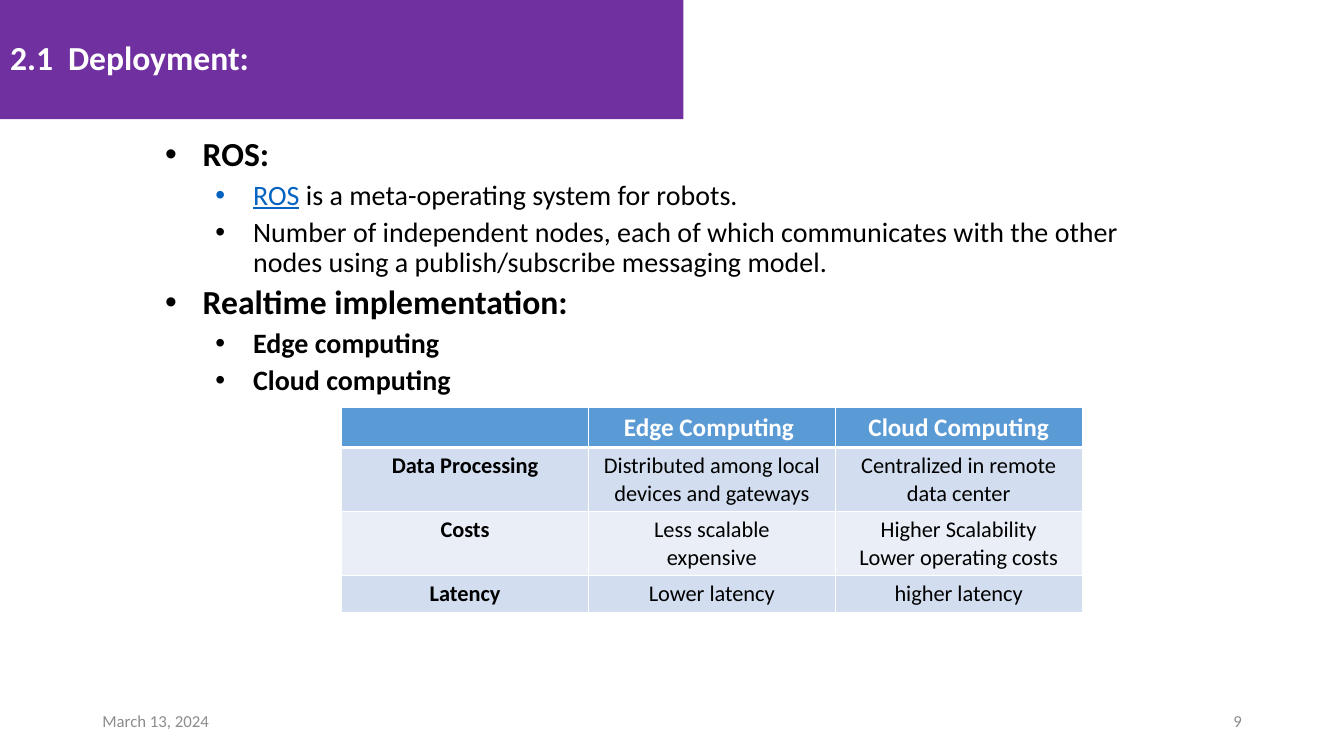
from dataclasses import dataclass

from lxml.etree import SubElement
from pptx import Presentation
from pptx.dml.color import RGBColor
from pptx.enum.text import MSO_ANCHOR, MSO_AUTO_SIZE, PP_ALIGN
from pptx.oxml.ns import qn
from pptx.slide import Slide
from pptx.table import _Cell
from pptx.text.text import TextFrame, _Paragraph
from pptx.util import Cm, Pt

FONT = "Calibri"
WHITE, BLACK, GREY = "FFFFFF", "000000", "8C8C8C"
PURPLE, LINK_BLUE, HEADER_BLUE = "7030A0", "0563C1", "5B9BD5"
BANDS = ("D2DEEF", "EAEFF7")


@dataclass(frozen=True)
class Span:
    text: str
    size: float
    color: str = BLACK
    bold: bool = False
    underline: bool = False


@dataclass(frozen=True)
class Bullet:
    level: int
    spans: tuple[Span, ...]


@dataclass(frozen=True)
class Footer:
    left: float
    text: str
    align: PP_ALIGN


BULLETS = (
    Bullet(0, (Span("ROS:", 24, bold=True),)),
    Bullet(1, (Span("ROS", 20, LINK_BLUE, underline=True),
               Span(" is a meta-operating system for robots.", 20))),
    Bullet(1, (Span("Number of independent nodes, each of which communicates with the other "
                    "nodes using a publish/subscribe messaging model.", 20),)),
    Bullet(0, (Span("Realtime implementation:", 24, bold=True),)),
    Bullet(1, (Span("Edge computing", 20, bold=True),)),
    Bullet(1, (Span("Cloud computing", 20, bold=True),)),
)

FOOTERS = (
    Footer(2.33, "March 13, 2024", PP_ALIGN.LEFT),
    Footer(23.93, "9", PP_ALIGN.RIGHT),
)

COMPARISON = (
    ("", "Edge Computing ", "Cloud Computing"),
    ("Data Processing", "Distributed among local devices and gateways",
     "Centralized in remote data center"),
    ("Costs", "Less scalable\nexpensive", "Higher Scalability\nLower operating costs"),
    ("Latency", "Lower latency", "higher latency"),
)
ROW_HEIGHTS = (0.94, 1.48, 1.48, 0.94)
COLUMN_WIDTH = 6.22


def rgb(color: str) -> RGBColor:
    return RGBColor.from_string(color)


def add_span(p: _Paragraph, span: Span) -> None:
    r = p.add_run()
    r.text = span.text
    r.font.name = FONT
    r.font.size = Pt(span.size)
    r.font.bold = span.bold
    r.font.underline = span.underline
    r.font.color.rgb = rgb(span.color)


def next_paragraph(tf: TextFrame, index: int) -> _Paragraph:
    return tf.add_paragraph() if index else tf.paragraphs[0]


def add_text_box(s: Slide, left: float, top: float, width: float, height: float) -> TextFrame:
    tf = s.shapes.add_textbox(Cm(left), Cm(top), Cm(width), Cm(height)).text_frame
    tf.word_wrap = True
    return tf


def draw_title(s: Slide) -> None:
    sp = s.shapes.title
    sp.left, sp.top, sp.width, sp.height = Cm(0), Cm(0), Cm(17.22), Cm(3)
    sp.fill.solid()
    sp.fill.fore_color.rgb = rgb(PURPLE)
    tf = sp.text_frame
    tf.auto_size = MSO_AUTO_SIZE.NONE
    tf.vertical_anchor = MSO_ANCHOR.MIDDLE
    p = tf.paragraphs[0]
    p.alignment = PP_ALIGN.LEFT
    p.line_spacing = 0.9
    add_span(p, Span("2.1\t Deployment:", 24, WHITE, bold=True))


def draw_bullets(s: Slide) -> None:
    tf = add_text_box(s, 2.57, 3.35, 27.76, 12.09)
    for i, bullet in enumerate(BULLETS):
        p = next_paragraph(tf, i)
        p.level = bullet.level
        pPr = p._p.get_or_add_pPr()
        pPr.set("marL", str(Cm(2.29 + 1.27 * bullet.level)))
        pPr.set("indent", str(Cm(-0.95)))
        SubElement(pPr, qn("a:buFont"), typeface="Arial")
        SubElement(pPr, qn("a:buChar"), char="•")
        p.line_spacing = 0.9
        p.space_before = Pt(5 if i else 0)
        for span in bullet.spans:
            add_span(p, span)


def draw_borders(cell: _Cell, bottom: float) -> None:
    tcPr = cell._tc.get_or_add_tcPr()
    for side, width in (("L", 1), ("R", 1), ("T", 1), ("B", bottom)):
        ln = SubElement(tcPr, qn(f"a:ln{side}"), w=str(Pt(width)))
        fill = SubElement(ln, qn("a:solidFill"))
        SubElement(fill, qn("a:srgbClr"), val=WHITE)


def draw_cell(cell: _Cell, text: str, row: int, column: int) -> None:
    header = row == 0
    draw_borders(cell, 3 if header else 1)
    cell.fill.solid()
    cell.fill.fore_color.rgb = rgb(HEADER_BLUE if header else BANDS[(row - 1) % 2])
    if not text:
        return
    for i, line in enumerate(text.split("\n")):
        p = next_paragraph(cell.text_frame, i)
        p.alignment = PP_ALIGN.CENTER
        add_span(p, Span(line, 18 if header else 16, WHITE if header else BLACK,
                         bold=header or column == 0))


def draw_table(s: Slide) -> None:
    columns = len(COMPARISON[0])
    table = s.shapes.add_table(len(COMPARISON), columns, Cm(8.61), Cm(10.26),
                               Cm(COLUMN_WIDTH * columns), Cm(sum(ROW_HEIGHTS))).table
    for column in table.columns:
        column.width = Cm(COLUMN_WIDTH)
    for i, (height, texts) in enumerate(zip(ROW_HEIGHTS, COMPARISON)):
        table.rows[i].height = Cm(height)
        for j, text in enumerate(texts):
            draw_cell(table.cell(i, j), text, i, j)


def draw_footer(s: Slide, footer: Footer) -> None:
    tf = add_text_box(s, footer.left, 17.65, 7.62, 1.02)
    tf.vertical_anchor = MSO_ANCHOR.MIDDLE
    p = tf.paragraphs[0]
    p.alignment = footer.align
    add_span(p, Span(footer.text, 12, GREY))


def main() -> None:
    prs = Presentation()
    prs.slide_width, prs.slide_height = Cm(33.87), Cm(19.05)
    s = prs.slides.add_slide(prs.slide_layouts[5])
    draw_title(s)
    draw_bullets(s)
    for footer in FOOTERS:
        draw_footer(s, footer)
    draw_table(s)
    prs.save("out.pptx")


if __name__ == "__main__":
    main()
